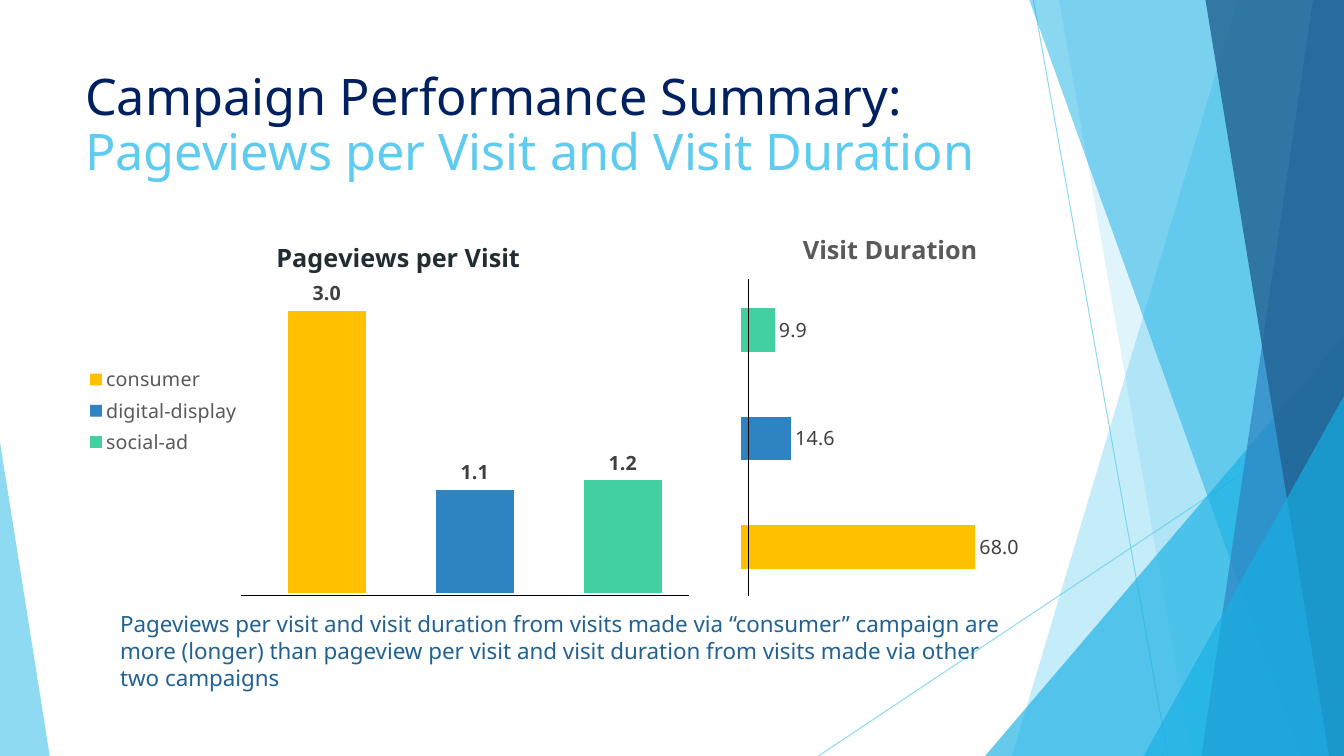
import pptx
import pptx.chart.data
import pptx.dml.color
import pptx.enum.chart
import pptx.enum.shapes
import pptx.enum.text
import pptx.oxml
import pptx.oxml.ns
import pptx.util

FONT = "Noto Sans"
SKY, CYAN, BLUE, NAVY = "5FCBEF", "17B0E4", "2E83C3", "226292"
CAMPAIGN_COLORS = ["FFC000", BLUE, "42D0A2"]

deck = pptx.Presentation()
deck.slide_width = pptx.util.Inches(13.33)
deck.slide_height = pptx.util.Inches(7.5)
slide = deck.slides.add_slide(deck.slide_layouts[6])
shapes = slide.shapes

# The slide is a grid of 1000 columns by 1000 rows.
column = deck.slide_width // 1000
row = deck.slide_height // 1000


def paint(fill, color, opacity=100):
    """Make a fill solid in a hex colour, with an opacity in percent."""
    fill.solid()
    fill.fore_color.rgb = pptx.dml.color.RGBColor.from_string(color)
    if opacity < 100:
        tint = fill._xPr.find(".//" + pptx.oxml.ns.qn("a:srgbClr"))
        alpha = pptx.oxml.parse_xml(
            f'<a:alpha {pptx.oxml.ns.nsdecls("a")} val="{opacity * 1000}"/>')
        tint.append(alpha)


def draw_rule(x1, y1, x2, y2, color, points, opacity=100):
    """Draw a straight line between two grid points."""
    rule = shapes.add_connector(
        pptx.enum.shapes.MSO_CONNECTOR.STRAIGHT,
        x1 * column, y1 * row, x2 * column, y2 * row)
    rule.line.width = pptx.util.Pt(points)
    paint(rule.line.fill, color, opacity)
    rule._element.spPr.append(
        pptx.oxml.parse_xml(f'<a:effectLst {pptx.oxml.ns.nsdecls("a")}/>'))


# Facets on the right and left edges
draw_rule(769, 0, 869, 1000, SKY, 0.75, 70)
draw_rule(1000, 537, 609, 1000, SKY, 0.75, 70)

# Bands give their top and bottom left corners and run to the right edge;
# triangles give left, top, width and the place of their peak.
facets = [
    ("band", (921, 753), SKY, 36),
    ("band", (788, 887), SKY, 20),
    ("triangle", (733, 444, 267, 1), CYAN, 66),
    ("band", (766, 968), CYAN, 50),
    ("band", (977, 894), BLUE, 70),
    ("band", (897, 989), NAVY, 80),
    ("triangle", (851, 524, 149, 1), CYAN, 66),
    ("triangle", (0, 585, 37, 0), SKY, 70),
]
for kind, corners, color, opacity in facets:
    if kind == "band":
        top_left, bottom_left = corners
        outline = shapes.build_freeform(top_left, 0, scale=(column, row))
        outline.add_line_segments([(1000, 0), (1000, 1000), (bottom_left, 1000)])
        facet = outline.convert_to_shape()
    else:
        left, top, width, peak = corners
        facet = shapes.add_shape(
            pptx.enum.shapes.MSO_SHAPE.ISOSCELES_TRIANGLE,
            left * column, top * row, width * column, (1000 - top) * row)
        facet.adjustments[0] = peak
    facet.shadow.inherit = False
    facet.line.fill.background()
    paint(facet.fill, color, opacity)

# Heading and caption
texts = [
    ((56, 89, 705, 192), 36, 0.9,
     [("Campaign Performance Summary:", "002060"),
      ("Pageviews per Visit and Visit Duration", SKY)]),
    ((82, 801, 671, 121), 16, 1.0,
     [("Pageviews per visit and visit duration from visits made via “consumer” "
       "campaign are more (longer) than pageview per visit and visit duration "
       "from visits made via other two campaigns", NAVY)]),
]
for (left, top, width, height), size, spacing, lines in texts:
    frame = shapes.add_textbox(
        left * column, top * row, width * column, height * row).text_frame
    frame.word_wrap = True
    frame.vertical_anchor = pptx.enum.text.MSO_ANCHOR.TOP
    frame.text = "\n".join(line for line, _ in lines)
    for paragraph, (_, color) in zip(frame.paragraphs, lines):
        paragraph.line_spacing = spacing
        font = paragraph.runs[0].font
        font.name, font.size = FONT, pptx.util.Pt(size)
        paint(font.fill, color)

# Charts; title corner and plot area are shares of the chart
charts = [
    dict(kind="COLUMN_CLUSTERED", left=56, width=472, title="Pageviews per Visit",
         title_color="212D32", title_at=(0.31, 0.05), values=[3.0, 1.1, 1.2],
         names=["consumer", "digital-display", "social-ad"], top_value=3.5,
         plot=(0.28, 0.13, 0.7, 0.83), gap=90, overlap=-100, bold=True, legend=True),
    dict(kind="BAR_CLUSTERED", left=547, width=214, title="Visit Duration",
         title_color="595959", title_at=(0.22, 0.03), values=[68.0, 14.6, 9.9],
         names=["1", "2", "3"], top_value=80,
         plot=(0.02, 0.16, 0.96, 0.82), gap=150, overlap=0, bold=False, legend=False),
]
for spec_row in charts:
    numbers = pptx.chart.data.CategoryChartData(number_format="0.0")
    numbers.categories = spec_row["names"]
    numbers.add_series("Series 1", spec_row["values"])
    chart = shapes.add_chart(
        pptx.enum.chart.XL_CHART_TYPE[spec_row["kind"]],
        spec_row["left"] * column, 281 * row,
        spec_row["width"] * column, 525 * row, numbers).chart
    chart.font.name, chart.font.size = FONT, pptx.util.Pt(10)

    chart.has_title = True
    chart.chart_title.text_frame.text = spec_row["title"]
    title_font = chart.chart_title.text_frame.paragraphs[0].runs[0].font
    title_font.name, title_font.size = FONT, pptx.util.Pt(18)
    title_font.bold = True
    paint(title_font.fill, spec_row["title_color"])

    chart.category_axis.visible = False
    chart.value_axis.visible = False
    chart.value_axis.has_major_gridlines = False
    chart.value_axis.minimum_scale = 0
    chart.value_axis.maximum_scale = spec_row["top_value"]

    chart.has_legend = spec_row["legend"]
    if spec_row["legend"]:
        chart.legend.position = pptx.enum.chart.XL_LEGEND_POSITION.LEFT
        chart.legend.include_in_layout = False
        chart.legend.font.name, chart.legend.font.size = FONT, pptx.util.Pt(14)
        paint(chart.legend.font.fill, "595959")

    bars = chart.plots[0]
    bars.vary_by_categories = True
    bars.gap_width, bars.overlap = spec_row["gap"], spec_row["overlap"]
    for index, color in enumerate(CAMPAIGN_COLORS):
        paint(bars.series[0].points[index].format.fill, color)
    bars.has_data_labels = True
    labels = bars.data_labels
    labels.show_value = True
    labels.number_format, labels.number_format_is_linked = "0.0", False
    labels.position = pptx.enum.chart.XL_LABEL_POSITION.OUTSIDE_END
    labels.font.name, labels.font.size = FONT, pptx.util.Pt(14)
    labels.font.bold = spec_row["bold"]
    paint(labels.font.fill, "404040")

    # Fixed places for the title and the plot area
    title_xml = chart.chart_title._element
    plot_xml = chart._chartSpace.chart.plotArea
    for part, target, numbers_at in [
            (title_xml, "", spec_row["title_at"]),
            (plot_xml, '<c:layoutTarget val="inner"/>', spec_row["plot"])]:
        for old_layout in part.findall(pptx.oxml.ns.qn("c:layout")):
            part.remove(old_layout)
        modes = '<c:xMode val="edge"/><c:yMode val="edge"/>'
        sizes = "".join(f'<c:{side} val="{share}"/>'
                        for side, share in zip("xywh", numbers_at))
        layout = pptx.oxml.parse_xml(
            f'<c:layout {pptx.oxml.ns.nsdecls("c")}><c:manualLayout>'
            f'{target}{modes}{sizes}</c:manualLayout></c:layout>')
        part.insert(1 if part is title_xml else 0, layout)

# Axis lines of the two charts
draw_rule(179, 788, 513, 788, "000000", 1)
draw_rule(557, 369, 557, 788, "000000", 1)

deck.save("out.pptx")
